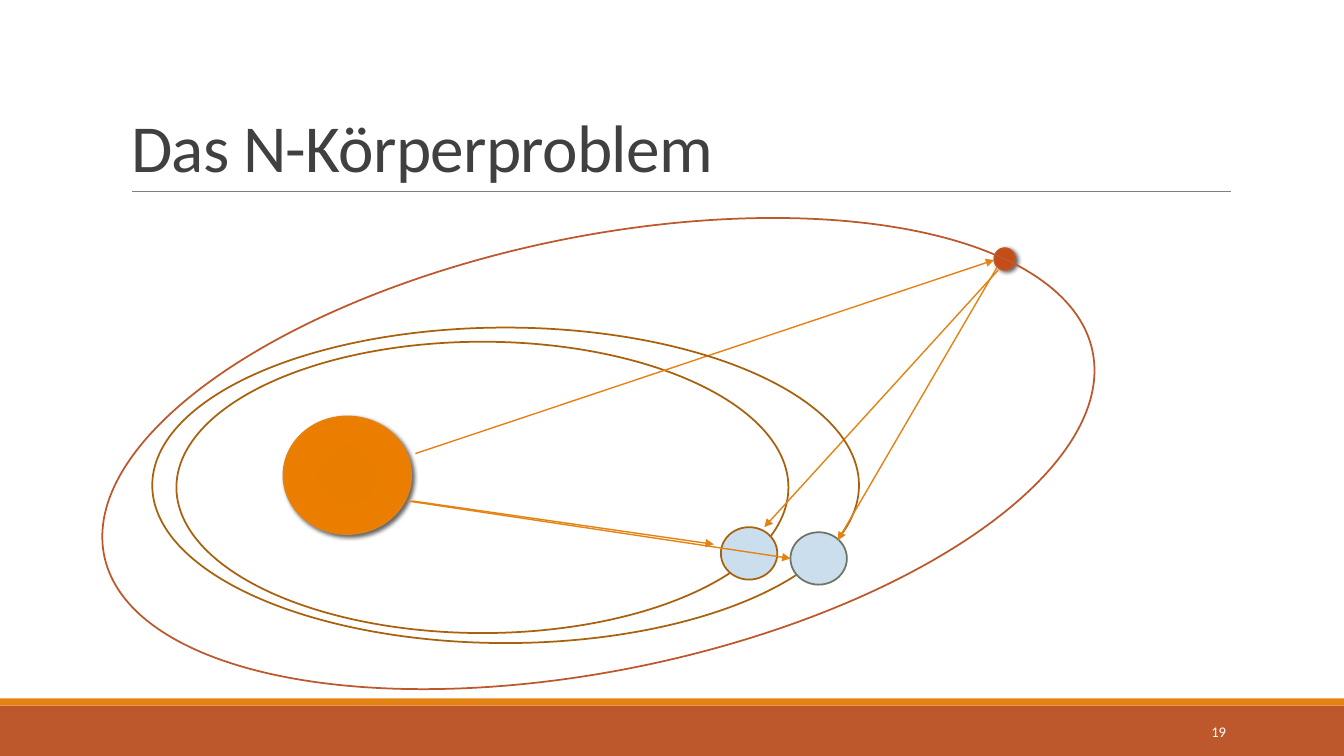
import pptx
import pptx.util
import pptx.dml.color
import pptx.enum.shapes
import pptx.enum.text
import pptx.oxml
import pptx.oxml.ns

# Content: places are (left, top, width, height) in cells of a fine grid
COLUMNS, ROWS = 1333, 750
COLORS = {
    "paper": "FFFFFF", "title": "404040", "rule": "808080",
    "orange": "E48312", "rust": "BD582C", "brown": "A9610D",
    "planet": "CBDEED", "moss": "6D7665", "shade": "000000",
}
GLOWS = {
    "sun": [(0, "E57B00"), (34, "E87D00"), (70, "EB7E00"), (100, "EF8407")],
    "comet": [(0, "C44A15"), (34, "C34C18"), (70, "C94C15"), (100, "C45525")],
}
TITLE = {"text": "Das N-Körperproblem", "place": (120, 31, 1100, 159)}
NUMBER = {"text": "19", "place": (1083, 706, 143, 40)}
BANDS = [((0, 700, COLUMNS, 50), "rust"), ((0, 693, COLUMNS, 7), "orange")]
TITLE_RULE = (131, 190, 1221, 190)

# Bodies, orbits and forces from back to front
# ellipse: place, fill, line, line width, rotation; force: from, to
DRAWING = [
    ("ellipse", (281, 413, 127, 117), "sun", "orange", 1, 0),
    ("ellipse", (986, 246, 21, 22), "comet", "rust", 1, 0),
    ("ellipse", (175, 339, 607, 289), None, "brown", 1.25, 0),
    ("ellipse", (93, 235, 1001, 430), None, "rust", 1.25, 348.3),
    ("ellipse", (715, 523, 56, 52), "planet", "brown", 1.25, 0),
    ("force", (409, 497, 708, 540)),
    ("force", (412, 450, 986, 258)),
    ("force", (990, 268, 758, 523)),
    ("ellipse", (151, 325, 701, 313), None, "brown", 1.25, 0),
    ("ellipse", (784, 528, 56, 52), "planet", "moss", 1.25, 0),
    ("force", (989, 265, 831, 536)),
    ("force", (404, 497, 784, 554)),
]

deck = pptx.Presentation()
deck.slide_width = pptx.util.Inches(13.33)
deck.slide_height = pptx.util.Inches(7.5)
page = deck.slides.add_slide(deck.slide_layouts[5])


def on_grid(place):
    sizes = (deck.slide_width / COLUMNS, deck.slide_height / ROWS) * 2
    return [round(cells * size) for cells, size in zip(place, sizes)]


def color(name):
    return pptx.dml.color.RGBColor.from_string(COLORS[name])


def element(text):
    namespace = pptx.oxml.ns.nsdecls("a")
    return pptx.oxml.parse_xml(text.replace(">", f" {namespace}>", 1))


def add_glow(shape, stops):
    """Give a body a radial gradient and a soft shadow."""
    marks = "".join(f'<a:gs pos="{share * 1000}"><a:srgbClr val="{tone}"/></a:gs>'
                    for share, tone in stops)
    corner = '<a:fillToRect l="100000" t="100000" r="100000" b="100000"/>'
    properties = shape.element.spPr
    properties.find(pptx.oxml.ns.qn("a:prstGeom")).addnext(element(
        f'<a:gradFill><a:gsLst>{marks}</a:gsLst>'
        f'<a:path path="circle">{corner}</a:path></a:gradFill>'))
    effects = properties.find(pptx.oxml.ns.qn("a:effectLst"))
    blur, distance = pptx.util.Pt(3), pptx.util.Pt(2)
    effects.append(element(
        f'<a:outerShdw blurRad="{blur}" dist="{distance}" dir="{45 * 60000}">'
        f'<a:srgbClr val="{COLORS["shade"]}"><a:alpha val="60000"/></a:srgbClr>'
        '</a:outerShdw>'))


def add_body(kind, place, fill, line=None, width=0, rotation=0):
    shape = page.shapes.add_shape(kind, *on_grid(place))
    shape.shadow.inherit = False
    shape.rotation = rotation
    if fill in GLOWS:
        add_glow(shape, GLOWS[fill])
    elif fill:
        shape.fill.solid()
        shape.fill.fore_color.rgb = color(fill)
    else:
        shape.fill.background()
    if line:
        shape.line.color.rgb = color(line)
        shape.line.width = pptx.util.Pt(width)
    else:
        shape.line.fill.background()


def add_line(ends, tone, width, arrow=False):
    line = page.shapes.add_connector(
        pptx.enum.shapes.MSO_CONNECTOR.STRAIGHT, *on_grid(ends))
    line.line.color.rgb = color(tone)
    line.line.width = pptx.util.Pt(width)
    if arrow:
        line.line._get_or_add_ln().append(element('<a:tailEnd type="triangle"></a:tailEnd>'))
    line.element.spPr.append(element("<a:effectLst></a:effectLst>"))


def write(box, content, size, tone, anchor, **para_format):
    box.left, box.top, box.width, box.height = on_grid(content["place"])
    frame = box.text_frame
    frame.word_wrap = True
    frame.auto_size = pptx.enum.text.MSO_AUTO_SIZE.NONE
    frame.vertical_anchor = anchor
    para = frame.paragraphs[0]
    for name, value in para_format.items():
        setattr(para, name, value)
    span = para.add_run()
    span.text = content["text"]
    for name, value in {"name": "Calibri", "size": pptx.util.Pt(size)}.items():
        setattr(span.font, name, value)
    span.font.color.rgb = color(tone)
    return span


# Footer bands and the rule under the title
SHAPES = pptx.enum.shapes.MSO_SHAPE
for place, fill in BANDS:
    add_body(SHAPES.RECTANGLE, place, fill)
add_line(TITLE_RULE, "rule", 0.5)

# Orbits, bodies and the forces between them
for kind, place, *style in DRAWING:
    if kind == "force":
        add_line(place, "orange", 1, arrow=True)
    else:
        add_body(SHAPES.OVAL, place, *style)

# Title and page number
ANCHOR, ALIGN = pptx.enum.text.MSO_ANCHOR, pptx.enum.text.PP_ALIGN
heading = write(page.shapes.title, TITLE, 48, "title", ANCHOR.BOTTOM,
                alignment=ALIGN.LEFT, line_spacing=0.85)
heading.font._element.set("spc", "-50")
number_box = page.shapes.add_textbox(*on_grid(NUMBER["place"]))
write(number_box, NUMBER, 10.5, "paper", ANCHOR.MIDDLE, alignment=ALIGN.RIGHT)

deck.save("out.pptx")
